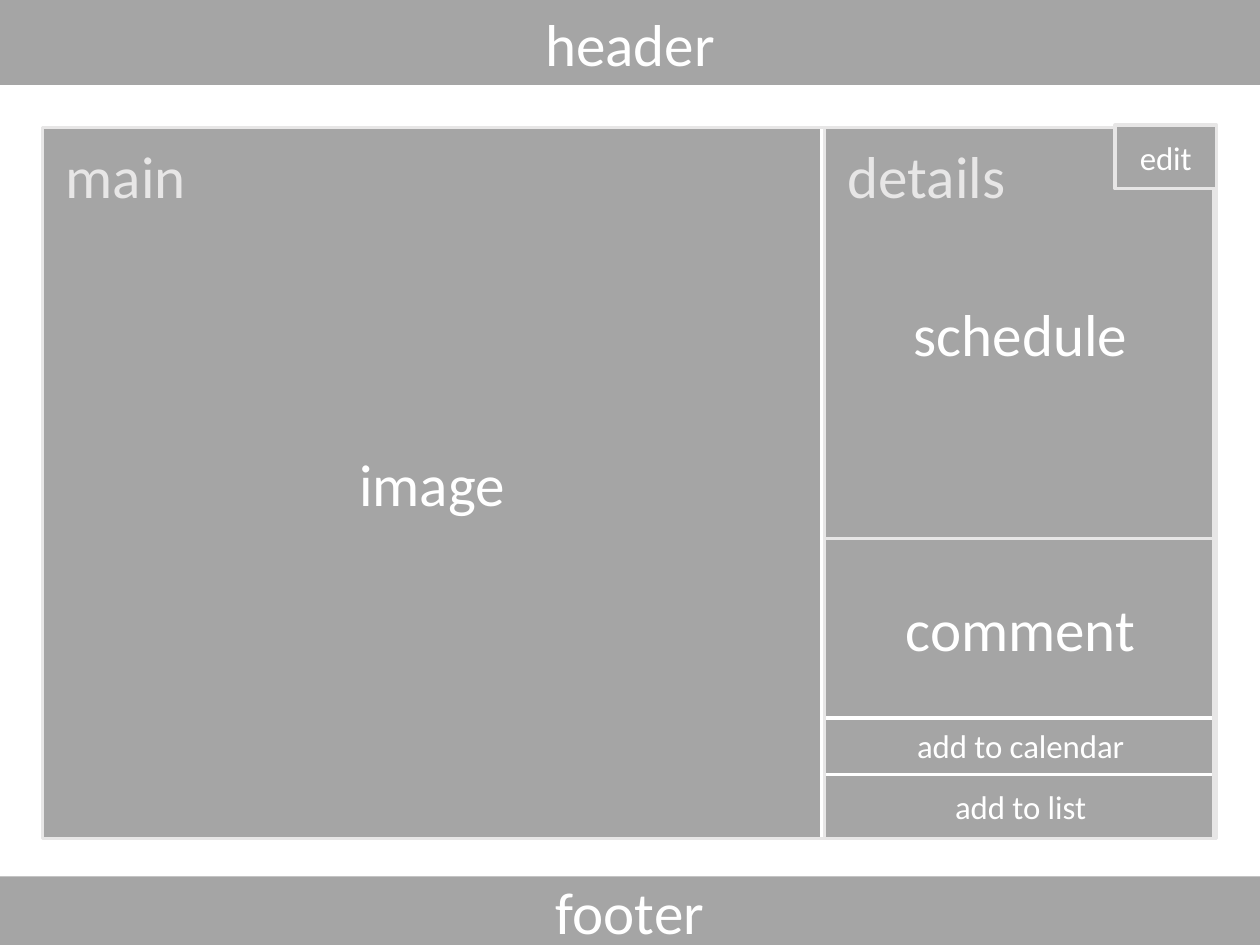
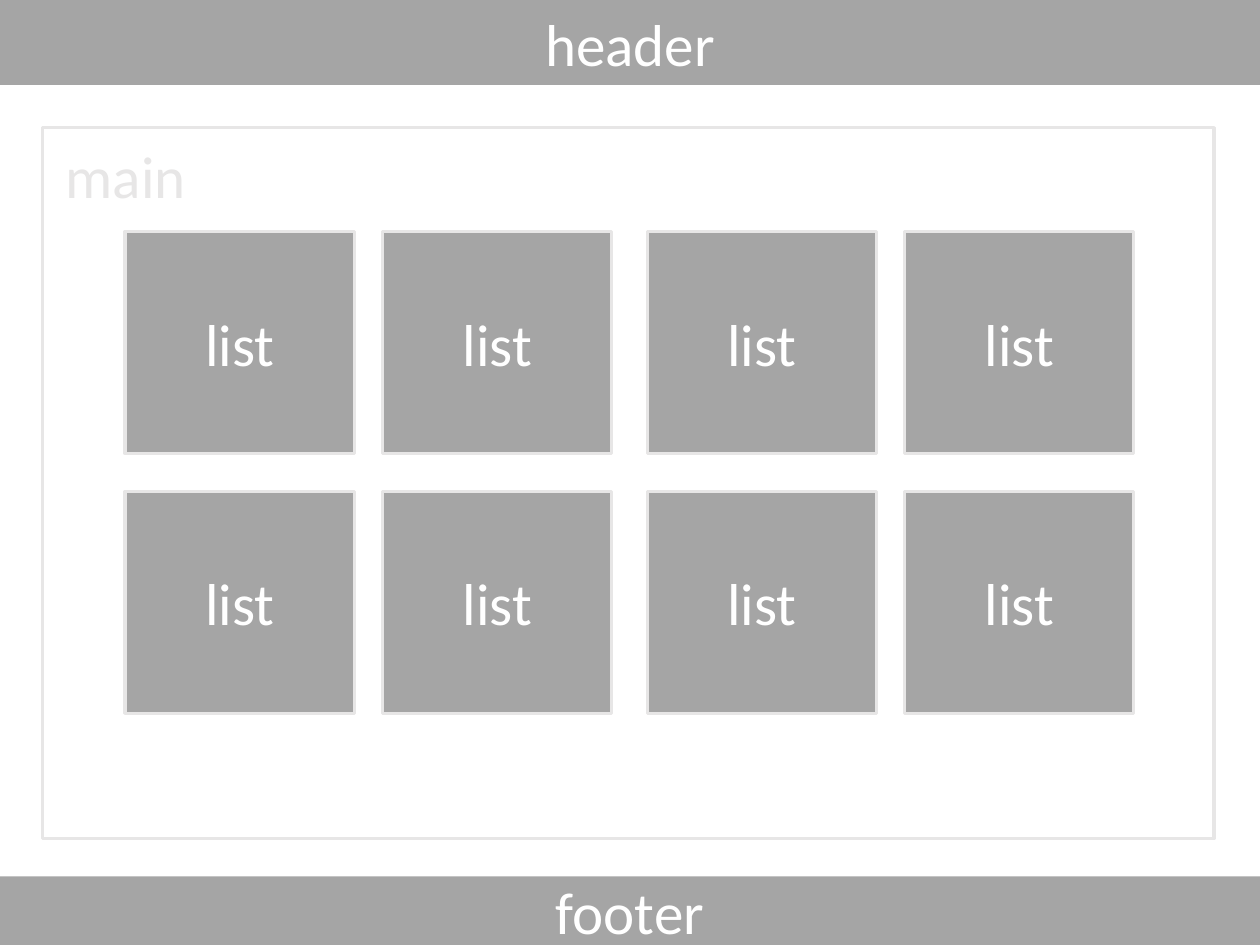
"""Build two page wireframes: a detail page and a list page."""
from pptx import Presentation
from pptx.dml.color import RGBColor
from pptx.enum.shapes import MSO_SHAPE
from pptx.enum.text import MSO_ANCHOR, PP_ALIGN
from pptx.util import Inches, Pt

RECTANGLE = MSO_SHAPE.RECTANGLE
TOP, MIDDLE = MSO_ANCHOR.TOP, MSO_ANCHOR.MIDDLE
LEFT, CENTER = PP_ALIGN.LEFT, PP_ALIGN.CENTER

COLORS = {"gray": "A5A5A5", "pale": "E7E6E6", "white": "FFFFFF"}
FONT = "Calibri"
PAGE_HEIGHT = 4
PAGE_WIDTH = PAGE_HEIGHT * 4 / 3
MAIN = (0.18, 0.54, 4.96, 3.01)
SIDE_LEFT, SIDE_WIDTH = 3.49, 1.66
FRAME = {"fill": None, "line": "pale", "color": "pale", "anchor": TOP, "align": LEFT}


def add_box(page, text, place, fill="gray", line=None, color="white",
            size=18, anchor=MIDDLE, align=CENTER):
    box = page.shapes.add_shape(RECTANGLE, *[Inches(length) for length in place])
    box.shadow.inherit = False
    if fill:
        box.fill.solid()
        box.fill.fore_color.rgb = RGBColor.from_string(COLORS[fill])
    else:
        box.fill.background()
    if line:
        box.line.color.rgb = RGBColor.from_string(COLORS[line])
        box.line.width = Pt(1)
    else:
        box.line.fill.background()
    box.text_frame.vertical_anchor = anchor
    para = box.text_frame.paragraphs[0]
    para.alignment = align
    span = para.add_run()
    span.text = text
    for name, value in {"name": FONT, "size": Pt(size)}.items():
        setattr(span.font, name, value)
    span.font.color.rgb = RGBColor.from_string(COLORS[color])


def add_page_frame(page):
    add_box(page, "header", (0, 0, PAGE_WIDTH, 0.36))
    add_box(page, "footer", (0, 3.71, PAGE_WIDTH, 0.29))
    add_box(page, "main", MAIN, **FRAME)


deck = Presentation()
deck.slide_width = Inches(PAGE_WIDTH)
deck.slide_height = Inches(PAGE_HEIGHT)
blank_layout = deck.slide_layouts[6]

detail_page = deck.slides.add_slide(blank_layout)
for text, top in (("add to calendar", 3.02), ("add to list", 3.28)):
    add_box(detail_page, text, (SIDE_LEFT, top, SIDE_WIDTH, 0.27), line="white", size=10)
add_box(detail_page, "image", (0.18, 0.54, 3.3, 3.01), line="white")
add_box(detail_page, "comment", (SIDE_LEFT, 2.28, SIDE_WIDTH, 0.76), line="white")
add_box(detail_page, "schedule", (SIDE_LEFT, 0.54, SIDE_WIDTH, 1.74), line="pale")
add_page_frame(detail_page)
add_box(detail_page, "details", (SIDE_LEFT, 0.54, SIDE_WIDTH, 3.01), **FRAME)
add_box(detail_page, "edit", (4.72, 0.53, 0.43, 0.27), line="pale", size=10)

list_page = deck.slides.add_slide(blank_layout)
add_page_frame(list_page)
for top in (0.98, 2.08):
    for left in (0.53, 1.62, 2.74, 3.83):
        add_box(list_page, "list", (left, top, 0.97, 0.94), line="pale")

deck.save("out.pptx")
